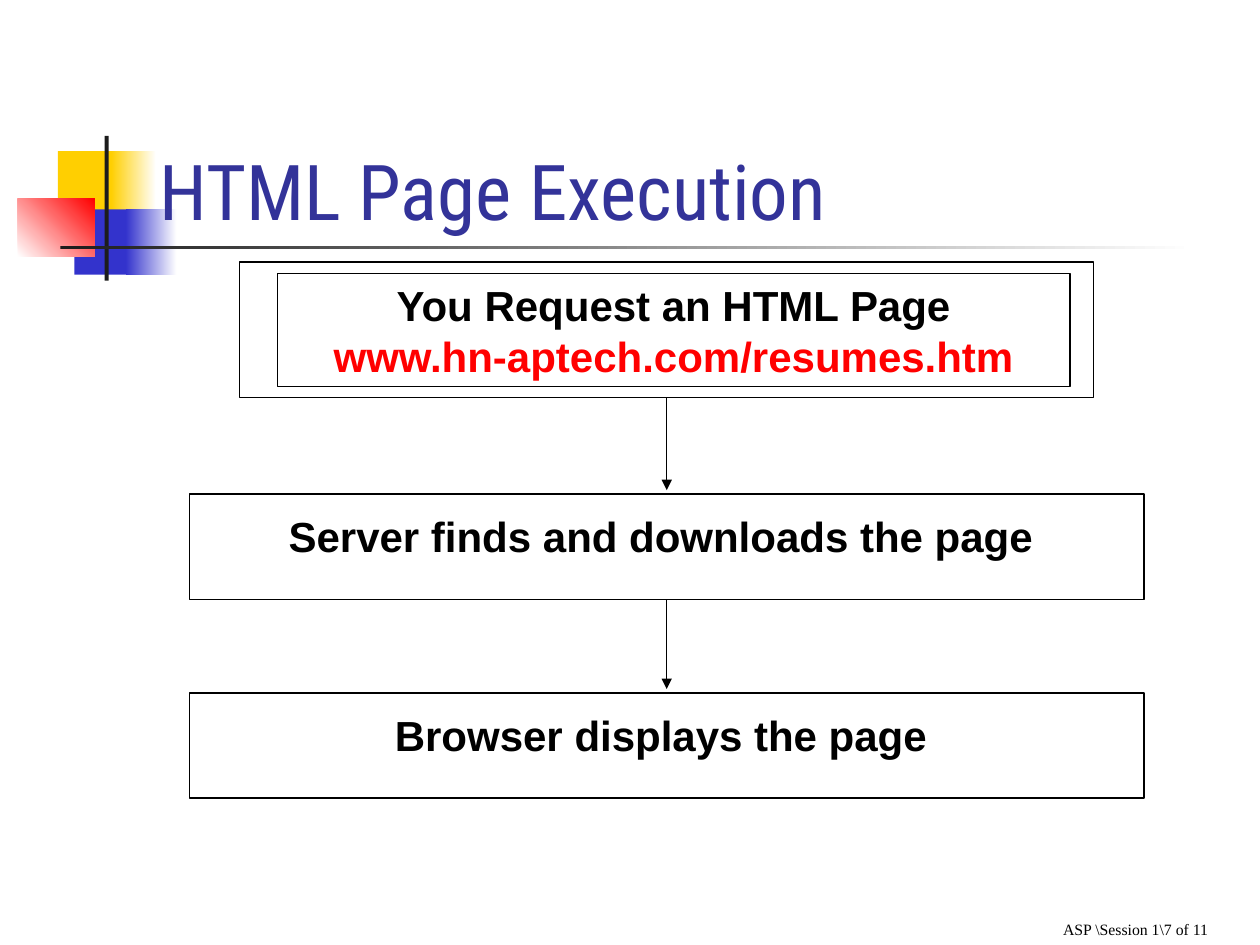
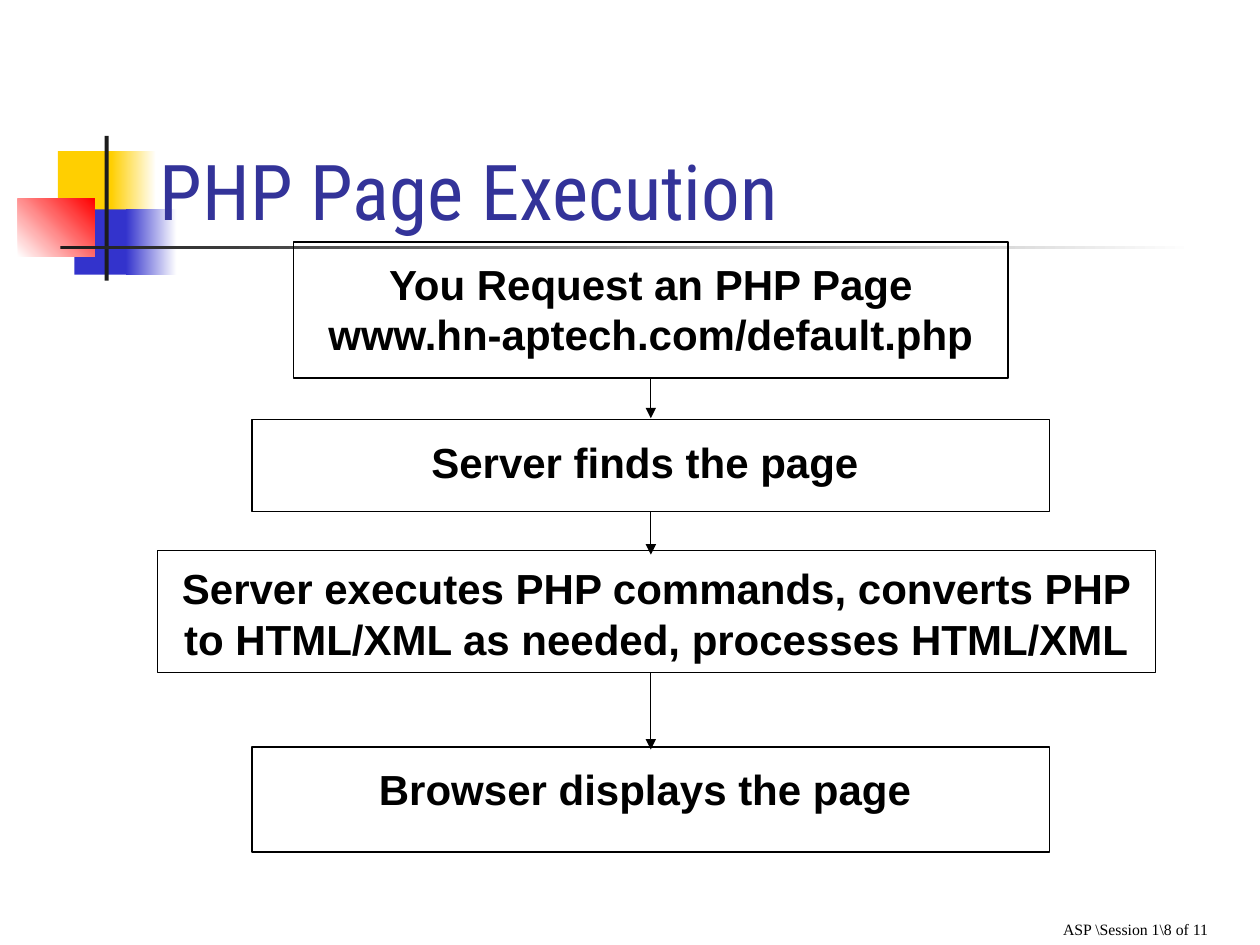
"""Build two flow slides on how HTML and PHP pages are executed."""
from lxml.etree import SubElement
from pptx import Presentation
from pptx.dml.color import RGBColor
from pptx.enum.shapes import MSO_CONNECTOR, MSO_SHAPE
from pptx.enum.text import MSO_ANCHOR, PP_ALIGN
from pptx.oxml.ns import qn
from pptx.util import Cm, Pt

COLOURS = {
    "yellow": "FFCF01", "blue": "3333CC", "red": "FF0000", "white": "FFFFFF",
    "charcoal": "1C1C1C", "black": "000000", "title": "333399",
}

# left, top, width, height in cm, start colour, end colour, angle
ORNAMENT = [
    (1.17, 3.05, 1.22, 1.32, "yellow", None, 0),
    (2.24, 3.05, 0.91, 1.32, "yellow", "white", 0),
    (1.5, 4.22, 1.17, 1.32, "blue", None, 0),
    (2.54, 4.22, 1.02, 1.32, "blue", "white", 0),
    (0.36, 4.01, 1.55, 1.17, "white", "red", 45),
    (2.11, 2.74, 0.08, 2.92, "charcoal", None, 0),
    (1.22, 4.95, 22.86, 0.08, "charcoal", "white", 0),
]

FLOWS = [
    {
        "title": "HTML Page Execution",
        "footer": "ASP \\Session 1\\7 of 11",
        "axis": 13.44,
        "steps": [
            {"text": "", "top": 5.28, "width": 17.22, "height": 2.74},
            {"text": "Server finds and downloads the page ", "top": 9.96,
             "width": 19.25, "height": 2.12, "tip": -0.08},
            {"text": "Browser displays the page ", "top": 13.97,
             "width": 19.25, "height": 2.12, "tip": -0.08},
        ],
        "request": {
            "text": "You Request an HTML Page\vwww.hn-aptech.com/resumes.htm",
            "top": 5.51, "width": 15.98, "height": 2.29, "shift": 0.14,
            "inset": 0.13, "address": "red"},
    },
    {
        "title": "PHP Page Execution",
        "footer": "ASP \\Session 1\\8 of 11",
        "axis": 13.12,
        "steps": [
            {"text": "You Request an PHP Page\vwww.hn-aptech.com/default.php",
             "top": 4.88, "width": 14.4, "height": 2.74},
            {"text": "Server finds the page ", "top": 8.46,
             "width": 16.08, "height": 1.85, "tip": -0.03},
            {"text": "Server executes PHP commands, converts PHP to HTML/XML "
                     "as needed, processes HTML/XML",
             "top": 11.1, "width": 20.12, "height": 2.46, "tip": 0.08,
             "shift": 0.11, "inset": 0.25},
            {"text": "Browser displays the page ", "top": 15.06,
             "width": 16.08, "height": 2.12, "tip": 0.05},
        ],
    },
]


def colour(key):
    return RGBColor.from_string(COLOURS[key])


def style(run, font, size, key, bold=False):
    run.font.name = font
    run.font.size = Pt(size)
    run.font.bold = bold
    run.font.color.rgb = colour(key)


def add_rectangle(slide, left, top, width, height):
    rectangle = slide.shapes.add_shape(
        MSO_SHAPE.RECTANGLE, Cm(left), Cm(top), Cm(width), Cm(height))
    rectangle.shadow.inherit = False
    return rectangle


def add_ornament(slide):
    for *place, start, end, angle in ORNAMENT:
        block = add_rectangle(slide, *place)
        block.line.fill.background()
        if end:
            block.fill.gradient()
            block.fill.gradient_angle = angle
            for stop, key in zip(block.fill.gradient_stops, (start, end)):
                stop.color.rgb = colour(key)
        else:
            block.fill.solid()
            block.fill.fore_color.rgb = colour(start)


def add_label(slide, text, place, font, size, key, anchor=MSO_ANCHOR.TOP):
    label = slide.shapes.add_textbox(*map(Cm, place)).text_frame
    label.word_wrap = True
    label.vertical_anchor = anchor
    label.text = text
    style(label.paragraphs[0].runs[0], font, size, key)


def add_step(slide, axis, step):
    left = axis + step.get("shift", 0) - step["width"] / 2
    frame = add_rectangle(slide, left, step["top"], step["width"], step["height"])
    frame.fill.background()
    frame.line.color.rgb = colour("black")
    frame.line.width = Pt(0.75)
    if not step["text"]:
        return
    wording = frame.text_frame
    wording.word_wrap = True
    wording.vertical_anchor = MSO_ANCHOR.TOP
    wording.margin_top = Cm(step.get("inset", 0.33))
    paragraph = wording.paragraphs[0]
    paragraph.text = step["text"]
    paragraph.alignment = PP_ALIGN.CENTER
    for run, key in zip(paragraph.runs, ("black", step.get("address", "black"))):
        style(run, "Arial", 24, key, bold=True)


def add_arrow(slide, axis, start, end):
    arrow = slide.shapes.add_connector(
        MSO_CONNECTOR.STRAIGHT, Cm(axis), Cm(start), Cm(axis), Cm(end))
    arrow.line.color.rgb = colour("black")
    arrow.line.width = Pt(0.75)
    SubElement(arrow.line._get_or_add_ln(), qn("a:tailEnd"), type="triangle")
    SubElement(arrow._element.spPr, qn("a:effectLst"))


def add_flow(deck, flow):
    slide = deck.slides.add_slide(deck.slide_layouts[6])
    add_ornament(slide)
    add_label(slide, flow["footer"], (21.18, 18.42, 4.2, 0.64),
              "Times New Roman", 9, "black")
    add_label(slide, flow["title"], (2.97, 2.54, 21.79, 2.34),
              "Roboto Condensed", 44, "title", MSO_ANCHOR.BOTTOM)
    axis, steps = flow["axis"], flow["steps"]
    for step in steps:
        add_step(slide, axis, step)
    if "request" in flow:
        add_step(slide, axis, flow["request"])
    for step, following in zip(steps, steps[1:]):
        add_arrow(slide, axis, step["top"] + step["height"],
                  following["top"] + following["tip"])


def main():
    deck = Presentation()
    deck.slide_width, deck.slide_height = Cm(25.4), Cm(19.05)
    for flow in FLOWS:
        add_flow(deck, flow)
    deck.save("out.pptx")


if __name__ == "__main__":
    main()
